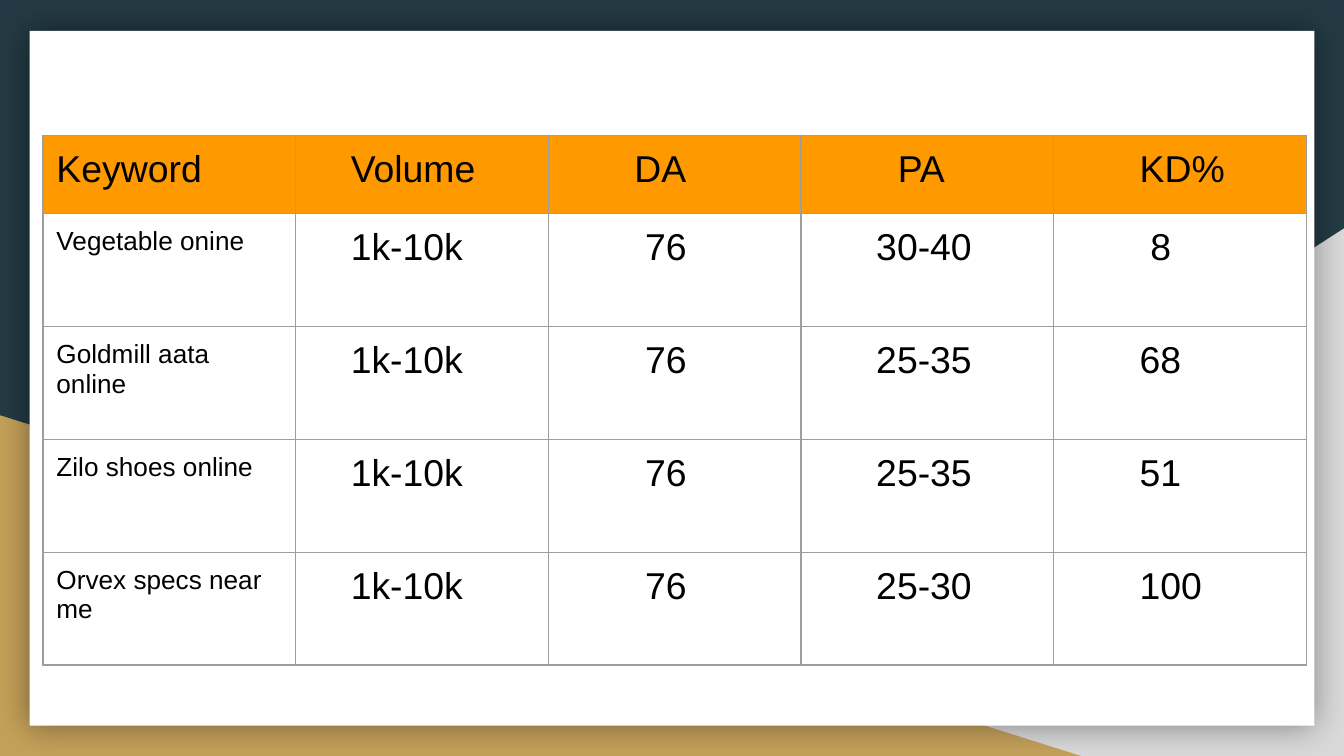
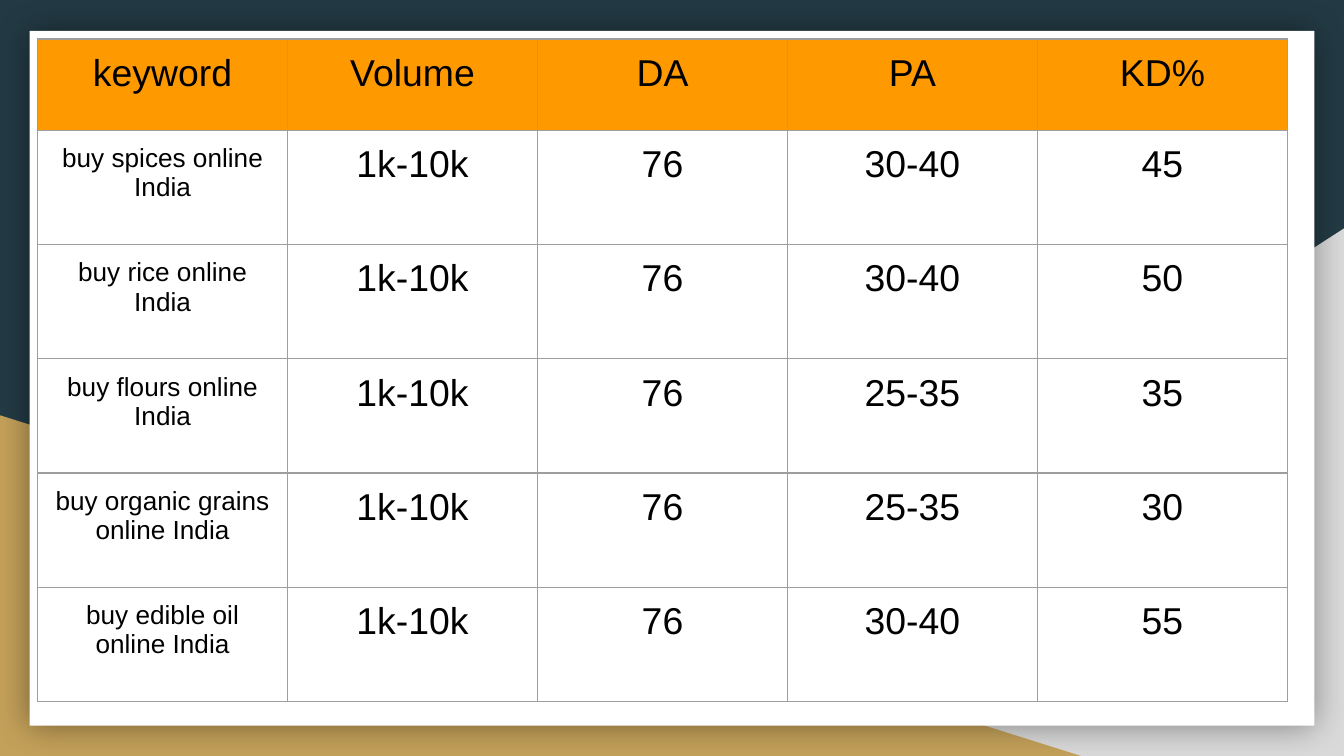
from dataclasses import dataclass

from lxml import etree
from pptx import Presentation
from pptx import util as u
from pptx.dml.color import RGBColor
from pptx.enum import shapes, text
from pptx.oxml import ns

HEADINGS = ("Volume", "DA", "PA", "KD%")
SLIDES = [
    {
        "rows": [
            ("Keyword", *HEADINGS),
            ("Vegetable onine", "1k-10k", "76", "30-40", "8"),
            ("Goldmill aata online", "1k-10k", "76", "25-35", "68"),
            ("Zilo shoes online", "1k-10k", "76", "25-35", "51"),
            ("Orvex specs near me", "1k-10k", "76", "25-30", "100"),
        ],
        "at": (0.32, 1.01), "col": 1.88, "head": 0.58, "body": 0.84,
        "align": text.PP_ALIGN.LEFT,
        "head_indents": (0, 0.31, 0.54, 0.62, 0.54),
        "body_indents": (0, 0.31, 0.62, 0.46, 0.54),
        "cell_indents": {(1, 4): 0.62},
    },
    {
        "rows": [
            ("keyword", *HEADINGS),
            ("buy spices online India", "1k-10k", "76", "30-40", "45"),
            ("buy rice online India", "1k-10k", "76", "30-40", "50"),
            ("buy flours online India", "1k-10k", "76", "25-35", "35"),
            ("buy organic grains online India", "1k-10k", "76", "25-35", "30"),
            ("buy edible oil online India", "1k-10k", "76", "30-40", "55"),
        ],
        "at": (0.28, 0.29), "col": 1.86, "head": 0.68, "body": 0.85,
        "align": text.PP_ALIGN.CENTER,
        "head_indents": (0,) * 5,
        "body_indents": (0,) * 5,
        "cell_indents": {},
    },
]


@dataclass(frozen=True)
class Theme:
    navy: str = "233A44"
    grey: str = "D9D9D9"
    gold: str = "C4A15A"
    panel: str = "FFFFFF"
    header: str = "FF9900"
    border: str = "9E9E9E"
    ink: str = "000000"
    font: str = "Arial"
    large: int = 20
    small: int = 14
    border_width: float = 0.75
    shadow_blur: int = 18
    shadow_alpha: int = 40
    inset: float = 0.1


T = Theme()
TRIANGLE = shapes.MSO_SHAPE.RIGHT_TRIANGLE


def paint(fill, color):
    fill.solid()
    fill.fore_color.rgb = RGBColor.from_string(color)


def add_color(parent, color):
    solid = etree.SubElement(parent, ns.qn("a:solidFill"))
    return etree.SubElement(solid, ns.qn("a:srgbClr"), val=color)


def add_block(s, kind, box, color):
    sp = s.shapes.add_shape(kind, *map(u.Inches, box))
    sp.shadow.inherit = False
    paint(sp.fill, color)
    sp.line.fill.background()
    return sp


def add_glow_shadow(sp):
    """Give the shape a soft shadow that spreads evenly on all sides."""
    effects = sp._element.spPr.find(ns.qn("a:effectLst"))
    shadow = etree.SubElement(effects, ns.qn("a:outerShdw"), dist="0", dir="0",
                              blurRad=str(u.Pt(T.shadow_blur)), algn="ctr", rotWithShape="0")
    color = etree.SubElement(shadow, ns.qn("a:srgbClr"), val=T.ink)
    etree.SubElement(color, ns.qn("a:alpha"), val=str(T.shadow_alpha * 1000))


def add_backdrop(s):
    paint(s.background.fill, T.navy)
    right = add_block(s, TRIANGLE, (3.92, 1.7, 6.08, 3.93), T.grey)
    right._element.spPr.find(ns.qn("a:xfrm")).set("flipH", "1")
    add_block(s, TRIANGLE, (0, 3.09, 8.06, 2.54), T.gold)
    panel = add_block(s, shapes.MSO_SHAPE.RECTANGLE, (0.22, 0.23, 9.56, 5.17), T.panel)
    add_glow_shadow(panel)


def add_borders(cell):
    tcPr = cell._tc.get_or_add_tcPr()
    for side in ("lnL", "lnR", "lnT", "lnB"):
        ln = etree.SubElement(tcPr, ns.qn(f"a:{side}"), w=str(u.Pt(T.border_width)))
        add_color(ln, T.border)


def fill_cell(cell, words, size, align, indent, is_header):
    for side in ("left", "right", "top", "bottom"):
        setattr(cell, f"margin_{side}", u.Inches(T.inset))
    add_borders(cell)
    if is_header:
        paint(cell.fill, T.header)
    else:
        cell.fill.background()
    p = cell.text_frame.paragraphs[0]
    p.alignment = align
    if indent:
        p._p.get_or_add_pPr().set("marL", str(u.Inches(indent)))
    r = p.add_run()
    r.text = words
    for name, value in {"name": T.font, "size": u.Pt(size)}.items():
        setattr(r.font, name, value)
    r.font.color.rgb = RGBColor.from_string(T.ink)


def add_keyword_table(s, data):
    rows = data["rows"]
    n_rows, n_cols = len(rows), len(rows[0])
    heights = [data["head"]] + [data["body"]] * (n_rows - 1)
    size = (data["col"] * n_cols, sum(heights))
    table = s.shapes.add_table(n_rows, n_cols, *map(u.Inches, data["at"] + size)).table
    table.first_row = table.horz_banding = False
    for col in table.columns:
        col.width = u.Inches(data["col"])
    for i, row in enumerate(rows):
        table.rows[i].height = u.Inches(heights[i])
        indents = data["body_indents"] if i else data["head_indents"]
        for j, words in enumerate(row):
            indent = data["cell_indents"].get((i, j), indents[j])
            is_keyword = i > 0 and j == 0
            fill_cell(table.cell(i, j), words, T.small if is_keyword else T.large,
                      data["align"], indent, i == 0)


def main():
    prs = Presentation()
    prs.slide_width = u.Inches(10)
    prs.slide_height = prs.slide_width * 9 // 16
    for data in SLIDES:
        s = prs.slides.add_slide(prs.slide_layouts[6])
        add_backdrop(s)
        add_keyword_table(s, data)
    prs.save("out.pptx")


if __name__ == "__main__":
    main()
